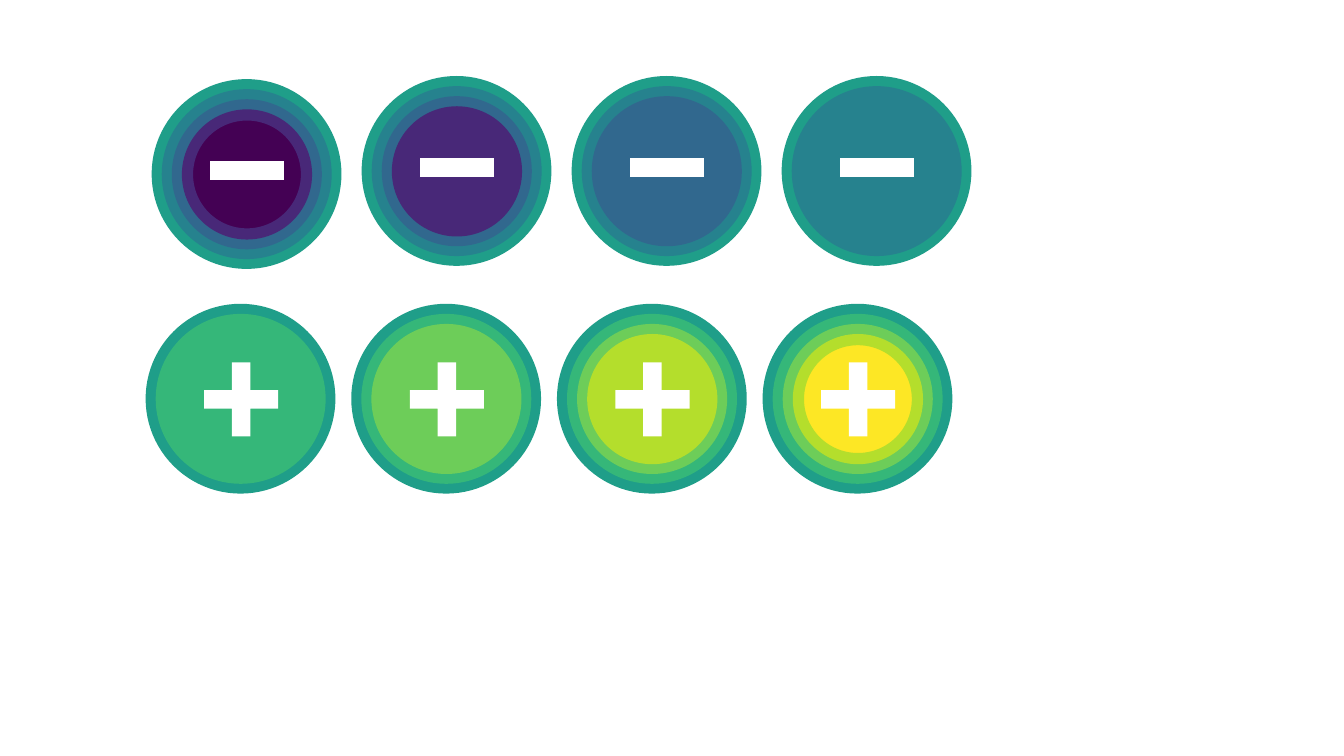
"""Build a slide of ringed minus and plus buttons."""
from pptx import Presentation
from pptx.dml.color import RGBColor
from pptx.enum.shapes import MSO_SHAPE
from pptx.util import Pt

OVAL = MSO_SHAPE.OVAL
MINUS = MSO_SHAPE.MATH_MINUS
PLUS = MSO_SHAPE.MATH_PLUS

COLOURS = {
    "white": "FFFFFF", "grey": "595959", "teal": "1F9E89",
    "sea": "26828E", "blue": "31688E", "indigo": "482878", "purple": "440154",
    "green": "35B779", "grass": "6DCD59", "lime": "B4DE2C", "yellow": "FDE725",
}
MINUS_SCALE = ["sea", "blue", "indigo", "purple"]
PLUS_SCALE = ["green", "grass", "lime", "yellow"]
LEVELS = [4, 3, 2, 1]
RING_FILLS = ["white", "white", "grey", "white"]
RING_LINE = 8
OUTER_SIZE = 141.8
RING_SHRINK = 14.2
RING_INSET = 7.2
SIGN_INSET = 35.5
SIGN_FORMATS = {
    MINUS: {"width": 72, "height": 66, "adjustment": 0.2},
    PLUS: {"width": 72, "height": 72, "adjustment": 0.183},
}


def colour(name):
    """Return the named colour."""
    return RGBColor.from_string(COLOURS[name])


def add_filled_shape(group, kind, left, top, width, height, fill):
    """Add a flat, filled shape without an outline."""
    shape = group.shapes.add_shape(kind, Pt(left), Pt(top), Pt(width), Pt(height))
    shape.shadow.inherit = False
    shape.fill.solid()
    shape.fill.fore_color.rgb = colour(fill)
    shape.line.fill.background()
    return shape


def add_ring(group, left, top, size, fill, outline):
    """Add a circle with a thick outline."""
    ring = add_filled_shape(group, OVAL, left, top, size, size, fill)
    for name, value in {"width": Pt(RING_LINE)}.items():
        setattr(ring.line, name, value)
    ring.line.color.rgb = colour(outline)


def add_sign(group, kind, left, top):
    """Add a white plus or minus sign."""
    sign_format = SIGN_FORMATS[kind]
    sign = add_filled_shape(group, kind, left, top, sign_format["width"],
                            sign_format["height"], "white")
    sign.adjustments[0] = sign_format["adjustment"]


def add_button(slide, kind, scale, level, left, top):
    """Add a group of nested rings, as many as the level asks, with its sign."""
    group = slide.shapes.add_group_shape()
    outlines = ["white", "teal"] + scale[:min(level, 3)]
    fills = RING_FILLS[:len(outlines) - 1] + [scale[level - 1]]
    for index, (fill, outline) in enumerate(zip(fills, outlines)):
        inset = index * RING_INSET
        size = OUTER_SIZE - index * RING_SHRINK
        add_ring(group, left + inset, top + inset, size, fill, outline)
    add_sign(group, kind, left + SIGN_INSET, top + SIGN_INSET)


def main():
    """Create the presentation and save it."""
    presentation = Presentation()
    presentation.slide_width = Pt(960)
    presentation.slide_height = Pt(540)
    slide = presentation.slides.add_slide(presentation.slide_layouts[6])
    for level in LEVELS:
        add_button(slide, PLUS, PLUS_SCALE, level, 100.8 + (level - 1) * 146.9, 213.8)
    for level in LEVELS:
        top = 53.3 if level == 4 else 51.1
        add_button(slide, MINUS, MINUS_SCALE, level, 105.1 + (4 - level) * 150, top)
    presentation.save("out.pptx")


if __name__ == "__main__":
    main()
